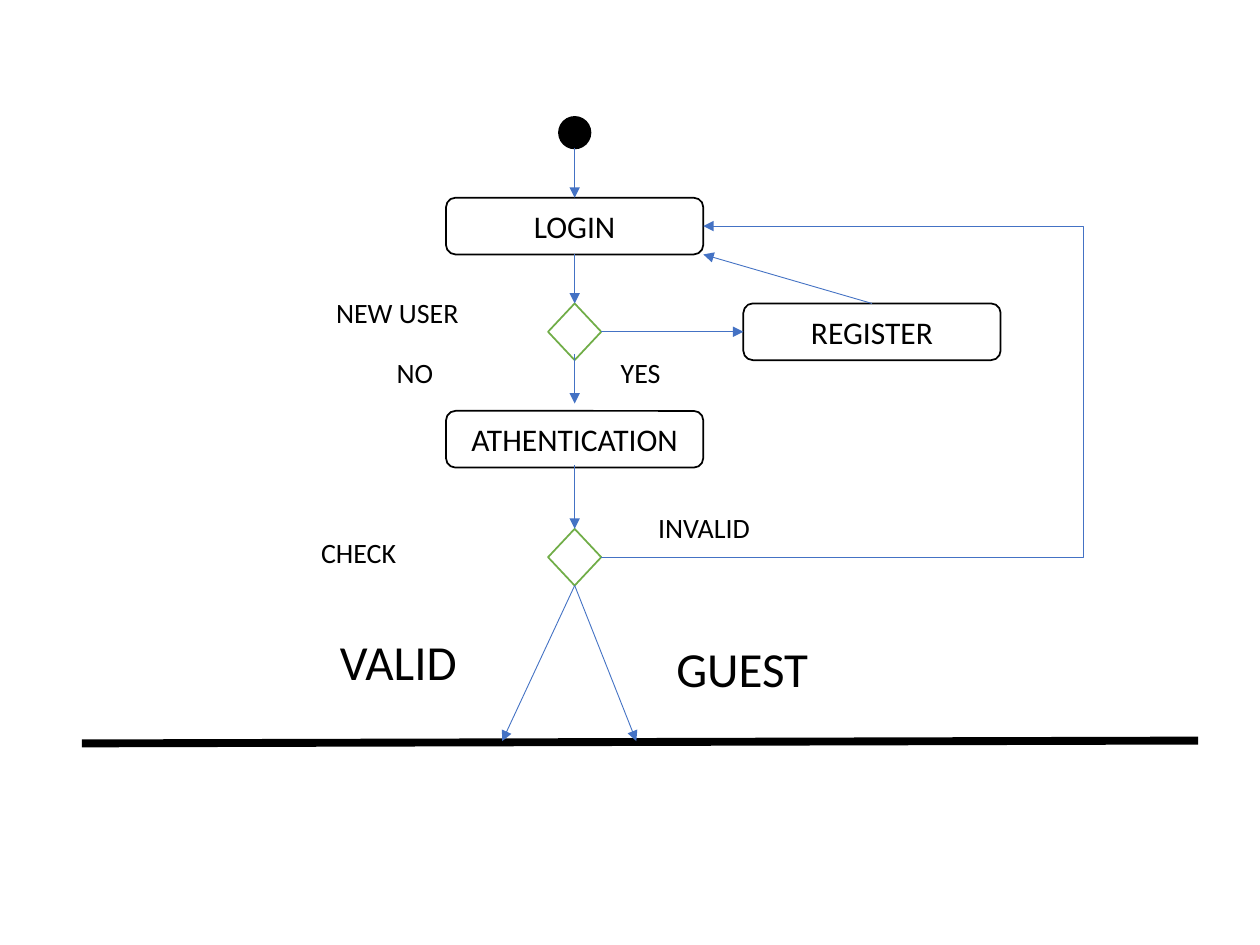
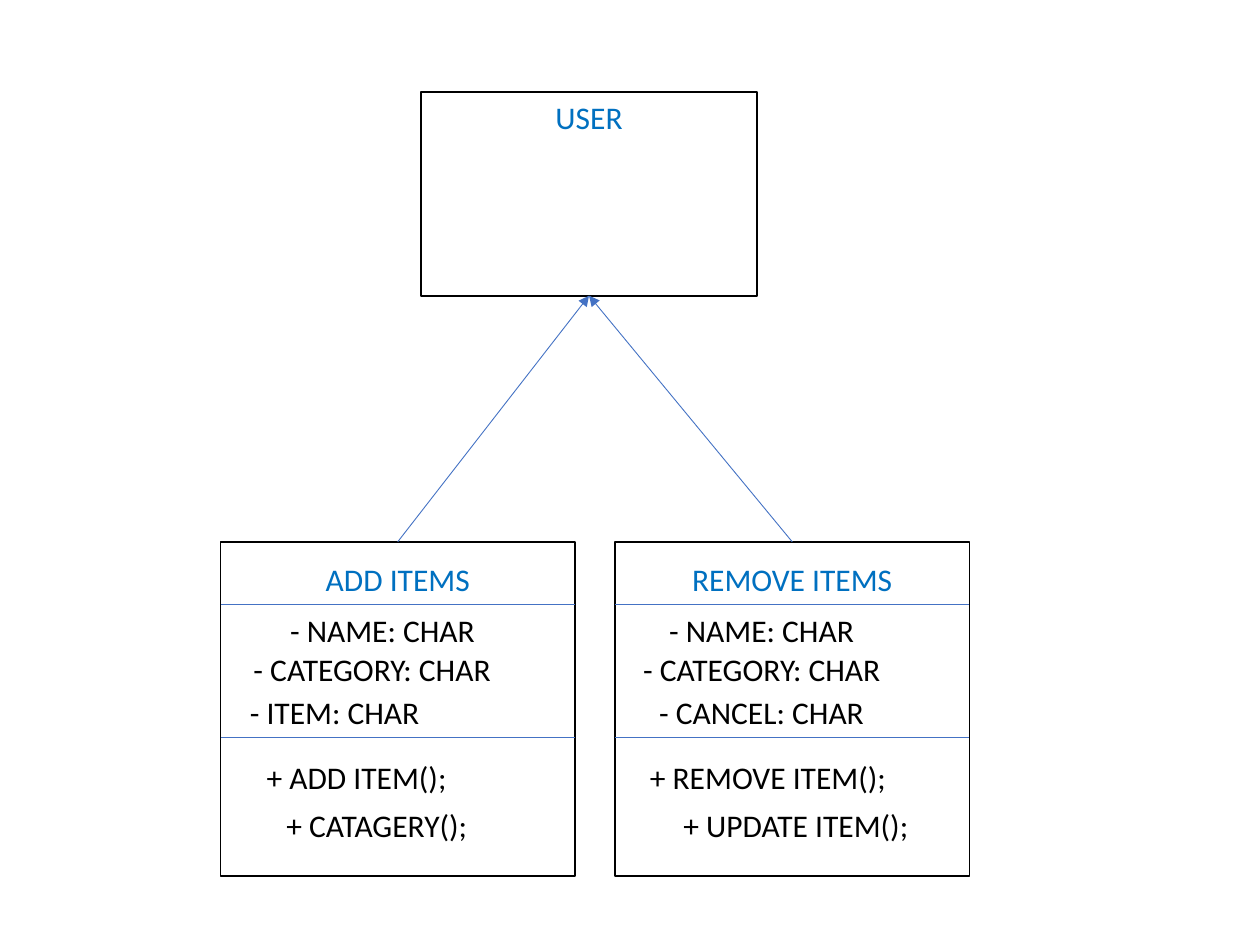
from dataclasses import dataclass

from lxml.etree import SubElement
from pptx import Presentation
from pptx.dml.color import RGBColor
from pptx.enum.shapes import MSO_CONNECTOR as Wire, MSO_SHAPE as Form
from pptx.enum.text import MSO_ANCHOR as Anchor, MSO_AUTO_SIZE as Fit, PP_ALIGN as Align
from pptx.oxml.ns import qn
from pptx.shapes.autoshape import Shape
from pptx.shapes.connector import Connector
from pptx.slide import Slide
from pptx.util import Pt

BLACK = RGBColor(0x00, 0x00, 0x00)
WHITE = RGBColor(0xFF, 0xFF, 0xFF)
BLUE = RGBColor(0x44, 0x72, 0xC4)
GREEN = RGBColor(0x70, 0xAD, 0x47)
TITLE = RGBColor(0x00, 0x70, 0xC0)
FONT = "Calibri"

# Login flow: one vertical axis carries every step
AXIS = 328.4
STEP_W, NODE_H = 147, 32.4
GATE_W = 30.4
LOGIN_Y, ASK_Y, AUTH_Y, CHECK_Y = 113, 173.4, 234.8, 302.2
REG_X = 424.8
LOOP_X = 619.2
BAR_Y = 423.5

# Class cards
CARD_Y, CARD_W, CARD_H = 309.6, 202.6, 190.8
CARD_X, CARD_STEP = 126, 225.4
RULES = (345.6, 421.3)
TITLE_Y = 316.2
ROW_Y = (345.4, 368.2, 392.6, 429.8, 457.2)
ROW_H = 28.8
USER_X, USER_Y, USER_W, USER_H = 240.4, 52.6, 192.4, 116.4


@dataclass
class Label:
    text: str
    x: float
    y: float
    w: float
    size: float = 16


@dataclass
class Row:
    text: str
    dx: float
    w: float


@dataclass
class Card:
    title: str
    rows: tuple[Row, ...]


LABELS = (
    Label("NEW USER", 185, 165.6, 93),
    Label("NO", 219.6, 199.4, 46),
    Label("YES", 347.6, 199.4, 46),
    Label("CHECK", 176.4, 302.2, 93),
    Label("VALID", 187.2, 357.2, 111, 28),
    Label("INVALID", 369, 288, 86),
    Label("GUEST", 379.4, 361.5, 105, 28),
)

CARDS = (
    Card("ADD ITEMS", (
        Row("- NAME: CHAR", 2.2, 180.8),
        Row("- CATEGORY: CHAR", 5, 163.4),
        Row("- ITEM: CHAR", -15.8, 162),
        Row("+ ADD ITEM();", 9.4, 136.8),
        Row("+ CATAGERY();", 9.4, 159.8),
    )),
    Card("REMOVE ITEMS", (
        Row("- NAME: CHAR", 5, 157.6),
        Row("- CATEGORY: CHAR", 2.2, 163.4),
        Row("- CANCEL: CHAR", 2.8, 162),
        Row("+ REMOVE ITEM();", 9.4, 156.2),
        Row("+ UPDATE ITEM();", 9.4, 188),
    )),
)


def put_text(shape: Shape, text: str, size: float, color: RGBColor, align: Align) -> None:
    frame = shape.text_frame
    frame.text = text
    frame.word_wrap = True
    para = frame.paragraphs[0]
    para.alignment = align
    font = para.runs[0].font
    font.name, font.size, font.color.rgb = FONT, Pt(size), color


def add_box(slide: Slide, form: Form, x: float, y: float, w: float, h: float,
            edge: RGBColor = BLACK, fill: RGBColor = WHITE) -> Shape:
    box = slide.shapes.add_shape(form, Pt(x), Pt(y), Pt(w), Pt(h))
    box.shadow.inherit = False
    box.fill.solid()
    box.fill.fore_color.rgb = fill
    box.line.color.rgb = edge
    box.line.width = Pt(1)
    return box


def add_text(slide: Slide, text: str, x: float, y: float, w: float, h: float,
             size: float = 18, color: RGBColor = BLACK, align: Align = Align.CENTER) -> None:
    box = slide.shapes.add_textbox(Pt(x), Pt(y), Pt(w), Pt(h))
    put_text(box, text, size, color, align)
    box.text_frame.auto_size = Fit.SHAPE_TO_FIT_TEXT


def add_line(slide: Slide, x1: float, y1: float, x2: float, y2: float,
             arrow: bool = True, color: RGBColor = BLUE, width: float = 0.5,
             kind: Wire = Wire.STRAIGHT) -> Connector:
    line = slide.shapes.add_connector(kind, Pt(x1), Pt(y1), Pt(x2), Pt(y2))
    line.line.color.rgb = color
    line.line.width = Pt(width)
    props = line._element.spPr
    if arrow:
        SubElement(props.find(qn("a:ln")), qn("a:tailEnd"), type="triangle")
    SubElement(props, qn("a:effectLst"))
    return line


def add_loop(slide: Slide, x1: float, y1: float, x2: float, y2: float, turn: float) -> None:
    """Elbow arrow whose upright part stands at x = turn."""
    loop = add_line(slide, x1, y1, x2, y2, kind=Wire.ELBOW)
    bend = round((turn - x1) / (x2 - x1) * 100000)
    geom = loop._element.spPr.find(qn("a:prstGeom"))
    guides = geom.find(qn("a:avLst"))
    if guides is None:
        guides = SubElement(geom, qn("a:avLst"))
    SubElement(guides, qn("a:gd"), name="adj1", fmla=f"val {bend}")


def add_step(slide: Slide, text: str, x: float, y: float) -> None:
    step = add_box(slide, Form.ROUNDED_RECTANGLE, x, y, STEP_W, NODE_H)
    put_text(step, text, 18, BLACK, Align.CENTER)
    step.text_frame.vertical_anchor = Anchor.MIDDLE


def draw_flow(slide: Slide) -> None:
    add_box(slide, Form.OVAL, AXIS - 9, 66.8, 18, 18, fill=BLACK)
    left = AXIS - STEP_W / 2
    right = left + STEP_W
    for text, x, y in (("LOGIN", left, LOGIN_Y), ("REGISTER", REG_X, ASK_Y),
                       ("ATHENTICATION", left, AUTH_Y)):
        add_step(slide, text, x, y)
    for y in (ASK_Y, CHECK_Y):
        add_box(slide, Form.DIAMOND, AXIS - GATE_W / 2, y, GATE_W, NODE_H, GREEN)
    for note in LABELS:
        add_text(slide, note.text, note.x, note.y, note.w, note.size * 1.2 + 7.2,
                 note.size, align=Align.LEFT)

    gate = AXIS + GATE_W / 2
    half = NODE_H / 2
    add_loop(slide, gate, CHECK_Y + half, right, LOGIN_Y + half, LOOP_X)
    add_line(slide, REG_X + STEP_W / 2, ASK_Y, right, LOGIN_Y + NODE_H)
    add_line(slide, gate, ASK_Y + half, REG_X, ASK_Y + half)
    for top, end in ((84.4, LOGIN_Y), (LOGIN_Y + NODE_H, ASK_Y),
                     (202.2, 230.6), (265.6, CHECK_Y)):
        add_line(slide, AXIS, top, AXIS, end)
    add_line(slide, 46.8, BAR_Y + 1.3, 684.6, BAR_Y - 0.3, False, BLACK, 4.5)
    for x in (287, 363.6):
        add_line(slide, AXIS, CHECK_Y + NODE_H, x, BAR_Y)


def draw_card(slide: Slide, card: Card, x: float) -> None:
    add_box(slide, Form.RECTANGLE, x, CARD_Y, CARD_W, CARD_H)
    for y in RULES:
        add_line(slide, x, y, x + CARD_W, y, arrow=False)
    add_text(slide, card.title, x + 5, TITLE_Y, CARD_W - 10, ROW_H, color=TITLE)
    for row, y in zip(card.rows, ROW_Y):
        add_text(slide, row.text, x + row.dx, y, row.w, ROW_H)


def draw_classes(slide: Slide) -> None:
    user = add_box(slide, Form.RECTANGLE, USER_X, USER_Y, USER_W, USER_H)
    put_text(user, "USER", 18, TITLE, Align.CENTER)
    user.text_frame.vertical_anchor = Anchor.TOP
    for i, card in enumerate(CARDS):
        x = CARD_X + i * CARD_STEP
        draw_card(slide, card, x)
        add_line(slide, x + CARD_W / 2, CARD_Y, USER_X + USER_W / 2, USER_Y + USER_H)


def main() -> None:
    deck = Presentation()
    deck.slide_width, deck.slide_height = Pt(720), Pt(540)
    for draw in (draw_flow, draw_classes):
        draw(deck.slides.add_slide(deck.slide_layouts[6]))
    deck.save("out.pptx")


if __name__ == "__main__":
    main()
